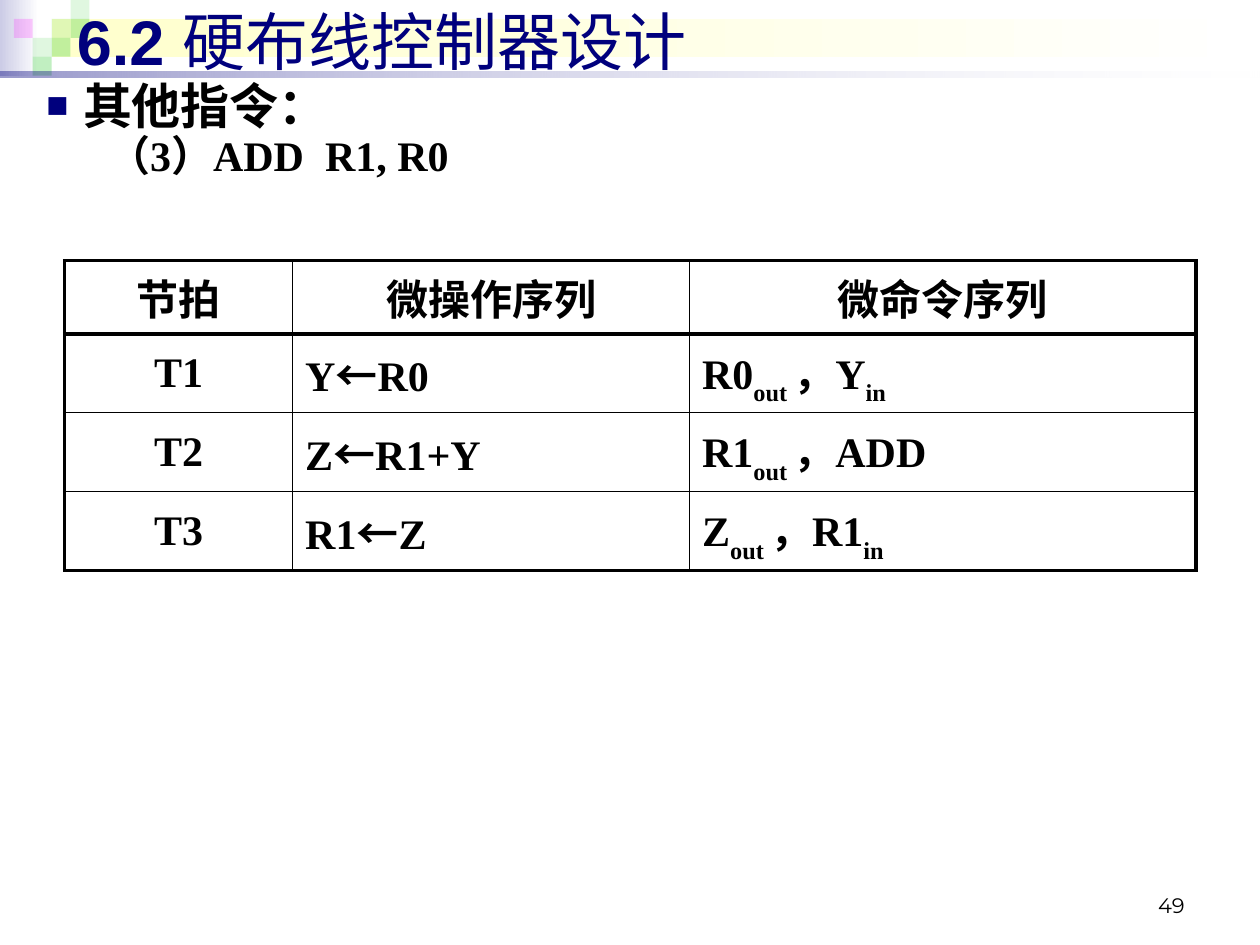
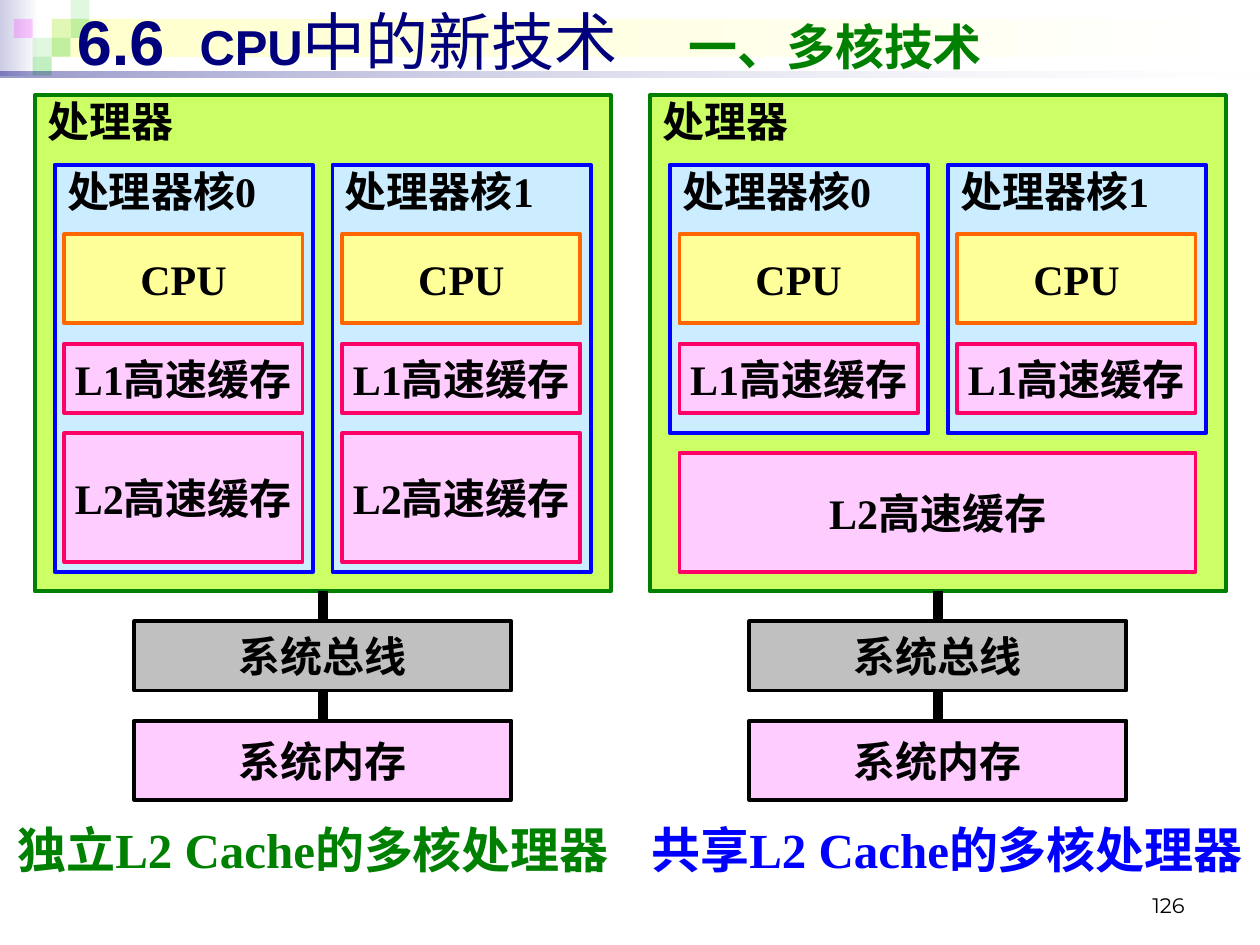
from dataclasses import dataclass

from lxml import etree
from pptx import Presentation
from pptx.dml.color import RGBColor
from pptx.enum.shapes import MSO_CONNECTOR, MSO_SHAPE
from pptx.enum.text import MSO_ANCHOR, PP_ALIGN
from pptx.oxml.ns import qn
from pptx.util import Pt

COLORS = {
    "black": "000000", "white": "FFFFFF", "navy": "00007D", "lavender": "CCCCE6",
    "cream": "FFFFCC", "mosaic": "33CC33", "magenta": "FF00FF", "green": "008000",
    "lime": "CCFF66", "blue": "0000FF", "sky": "CCECFF", "yellow": "FFFF99",
    "orange": "FF6600", "pink": "FFCCFF", "rose": "FF0066", "gray": "C0C0C0",
}
SERIF, SANS, CJK, NUMBER = "Times New Roman", "Arial", "Noto Sans CJK SC", "Montserrat"


@dataclass(frozen=True)
class Box:
    left: float
    top: float
    width: float
    height: float


@dataclass(frozen=True)
class Run:
    text: str
    size: float | None = None
    color: str | None = None
    bold: bool | None = None
    font: str | None = None
    subscript: bool = False


@dataclass(frozen=True)
class Look:
    fill: str
    line: str


@dataclass(frozen=True)
class Processor:
    left: float
    core_height: float
    shared_l2: bool


PROCESSOR = Look("lime", "green")
CORE = Look("sky", "blue")
CPU = Look("yellow", "orange")
CACHE = Look("pink", "rose")
BUS = Look("gray", "black")
MEMORY = Look("pink", "black")


def rgb(name: str) -> RGBColor:
    return RGBColor.from_string(COLORS[name])


# ---- Text ----
def style_font(font, size=None, color=None, bold=None, name=None) -> None:
    if size:
        font.size = Pt(size)
    if color:
        font.color.rgb = rgb(color)
    if bold is not None:
        font.bold = bold
    if name:
        font.name = name
        etree.SubElement(font._element, qn("a:ea"), typeface=CJK)


def write(p, runs: list[Run], size: float = 24, color: str = "black", bold: bool = True,
          name: str = SERIF, align=PP_ALIGN.LEFT) -> None:
    p.alignment = align
    style_font(p.font, size, color, bold, name)
    for run in runs:
        r = p.add_run()
        r.text = run.text
        style_font(r.font, run.size, run.color, run.bold, run.font)
        if run.subscript:
            r.font._element.set("baseline", "-30000")


def add_text(slide, box: Box, anchor=MSO_ANCHOR.TOP):
    sp = slide.shapes.add_textbox(Pt(box.left), Pt(box.top), Pt(box.width), Pt(box.height))
    tf = sp.text_frame
    tf.word_wrap = True
    tf.vertical_anchor = anchor
    return tf


# ---- Shapes ----
def add_rect(slide, box: Box):
    sp = slide.shapes.add_shape(MSO_SHAPE.RECTANGLE, Pt(box.left), Pt(box.top),
                                Pt(box.width), Pt(box.height))
    sp.shadow.inherit = False
    sp.line.fill.background()
    return sp


def set_alpha(sp, *percents: int) -> None:
    for clr, percent in zip(sp._element.spPr.iter(qn("a:srgbClr")), percents):
        etree.SubElement(clr, qn("a:alpha"), val=str(percent * 1000))


def add_fade(slide, box: Box, start: str, *alphas: int) -> None:
    sp = add_rect(slide, box)
    sp.fill.gradient()
    sp.fill.gradient_angle = 0
    for stop, color in zip(sp.fill.gradient_stops, (start, "white")):
        stop.color.rgb = rgb(color)
    set_alpha(sp, *alphas)


def add_block(slide, box: Box, look: Look, label: str, heading: bool = False) -> None:
    sp = add_rect(slide, box)
    sp.fill.solid()
    sp.fill.fore_color.rgb = rgb(look.fill)
    sp.line.color.rgb = rgb(look.line)
    sp.line.width = Pt(2.25)
    tf = sp.text_frame
    tf.word_wrap = False
    tf.vertical_anchor = MSO_ANCHOR.TOP if heading else MSO_ANCHOR.MIDDLE
    p = tf.paragraphs[0]
    write(p, [Run(label)], align=PP_ALIGN.LEFT if heading else PP_ALIGN.CENTER)
    if heading:
        p.line_spacing = 0.9


def add_link(slide, x: float, top: float, bottom: float) -> None:
    s = slide.shapes.add_connector(MSO_CONNECTOR.STRAIGHT, Pt(x), Pt(top), Pt(x), Pt(bottom))
    s.line.color.rgb = rgb("black")
    s.line.width = Pt(6)
    etree.SubElement(s._element.spPr, qn("a:effectLst"))


# ---- Shared header and page number ----
TILE = 10.8
TILES = [  # column, row, colour, opacity
    (2, 1, "mosaic", 15), (3, 0, "mosaic", 15), (3, 1, "mosaic", 30), (1, 2, "mosaic", 15),
    (0, 1, "magenta", 20), (2, 2, "mosaic", 30), (1, 3, "mosaic", 30),
]


def add_base_slide(prs, title: list[Run], number: int):
    slide = prs.slides.add_slide(prs.slide_layouts[6])
    add_fade(slide, Box(0, 0, 22.3, 43.2), "lavender")
    add_fade(slide, Box(29.5, TILE, 687.6, 2 * TILE), "cream")
    for col, row, color, alpha in TILES:
        sp = add_rect(slide, Box(7.9 + col * TILE, row * TILE, TILE, TILE))
        sp.fill.solid()
        sp.fill.fore_color.rgb = rgb(color)
        set_alpha(sp, alpha)
    add_fade(slide, Box(0, 40.8, 720, 3.6), "navy", 40, 10)
    tf = add_text(slide, Box(36.9, -2.2, 674.6, 51), MSO_ANCHOR.MIDDLE)
    write(tf.paragraphs[0], title, 36, "navy", name=SANS)
    tf = add_text(slide, Box(516, 492, 168, 36), MSO_ANCHOR.BOTTOM)
    write(tf.paragraphs[0], [Run(str(number))], 12, bold=False, name=NUMBER,
          align=PP_ALIGN.RIGHT)
    return slide


# ---- Instruction slide ----
def set_borders(cell, **widths: float) -> None:
    tcPr = cell._tc.get_or_add_tcPr()
    for i, (side, width) in enumerate(widths.items()):
        ln = etree.Element(qn(f"a:ln{side}"), w=str(Pt(width)))
        fill = etree.SubElement(ln, qn("a:solidFill"))
        etree.SubElement(fill, qn("a:srgbClr"), val=COLORS["black"])
        tcPr.insert(i, ln)


def transfer(target: str, source: str) -> list[Run]:
    return [Run(target), Run("←", font=CJK), Run(source)]


def sub(text: str) -> Run:
    return Run(text, subscript=True)


STEPS = [
    [[Run("节拍")], [Run("微操作序列")], [Run("微命令序列")]],
    [[Run("T1")], transfer("Y", "R0"), [Run("R0"), sub("out "), Run("，Y"), sub("in")]],
    [[Run("T2")], transfer("Z", "R1+Y"), [Run("R1"), sub("out "), Run("，ADD")]],
    [[Run("T3")], transfer("R1", "Z"), [Run("Z"), sub("out "), Run("，R1"), sub("in")]],
]
COL_WIDTHS = [130.3, 226.8, 289.4]
ROW_HEIGHTS = [42, 45, 45, 45]


def add_steps_table(slide) -> None:
    n_rows, n_cols = len(STEPS), len(COL_WIDTHS)
    tbl = slide.shapes.add_table(n_rows, n_cols, Pt(36.9), Pt(149), Pt(sum(COL_WIDTHS)),
                                 Pt(sum(ROW_HEIGHTS))).table
    tbl.first_row = tbl.horz_banding = False
    for col, width in zip(tbl.columns, COL_WIDTHS):
        col.width = Pt(width)
    for row, height in zip(tbl.rows, ROW_HEIGHTS):
        row.height = Pt(height)
    for i, row in enumerate(STEPS):
        for j, runs in enumerate(row):
            cell = tbl.cell(i, j)
            cell.fill.background()
            cell.vertical_anchor = MSO_ANCHOR.MIDDLE
            centred = i == 0 or j == 0
            write(cell.text_frame.paragraphs[0], runs,
                  align=PP_ALIGN.CENTER if centred else PP_ALIGN.LEFT)
            set_borders(cell, L=2.25 if j == 0 else 1,
                        R=2.25 if j == n_cols - 1 else 1,
                        T=2.25 if i <= 1 else 0.75,
                        B=2.25 if i in (0, n_rows - 1) else 0.75)


def set_indent(p, left: float, first: float) -> None:
    pPr = p._p.get_or_add_pPr()
    pPr.set("marL", str(Pt(left)))
    pPr.set("indent", str(Pt(first)))


def add_square_bullet(p) -> None:
    pPr = p._p.get_or_add_pPr()
    clr = etree.Element(qn("a:buClr"))
    etree.SubElement(clr, qn("a:srgbClr"), val=COLORS["navy"])
    size = etree.Element(qn("a:buSzPct"), val="75000")
    font = etree.Element(qn("a:buFont"), typeface=SANS)
    char = etree.Element(qn("a:buChar"), char="■")
    for element in (clr, size, font, char):
        pPr.find(qn("a:defRPr")).addprevious(element)


def build_instruction_slide(prs) -> None:
    slide = add_base_slide(prs, [Run("6.2 "), Run("硬布线控制器设计", bold=False)], 49)
    tf = add_text(slide, Box(19.4, 43.2, 692, 73.4))
    p = tf.paragraphs[0]
    p.line_spacing = 0.9
    write(p, [Run("其他指令：")], 28)
    set_indent(p, 21, -21)
    add_square_bullet(p)
    p = tf.add_paragraph()
    p.line_spacing = 0.9
    write(p, [Run("（3）ADD  R1, R0")])
    set_indent(p, 56.9, -21.6)
    add_steps_table(slide)


# ---- Multi-core slide ----
PANEL_W, CORE_W, CORE_PITCH, UNIT_W, BUS_W = 329, 147.6, 158.8, 136.1, 215.5
CORE_INSET, UNIT_INSET = 11.2, 5.6
PROCESSORS = [Processor(20, 232.6, False), Processor(371.5, 153.4, True)]


def add_processor(slide, proc: Processor) -> None:
    add_block(slide, Box(proc.left, 54.4, PANEL_W, 283.6), PROCESSOR, "处理器", heading=True)
    first_core = proc.left + CORE_INSET
    for i in range(2):
        left = first_core + i * CORE_PITCH
        unit = left + UNIT_INSET
        add_block(slide, Box(left, 94.2, CORE_W, proc.core_height), CORE, f"处理器核{i}",
                  heading=True)
        add_block(slide, Box(unit, 133.8, UNIT_W, 51), CPU, "CPU")
        add_block(slide, Box(unit, 196.4, UNIT_W, 39.6), CACHE, "L1高速缓存")
        if not proc.shared_l2:
            add_block(slide, Box(unit, 247.6, UNIT_W, 73.6), CACHE, "L2高速缓存")
    if proc.shared_l2:
        add_block(slide, Box(first_core + UNIT_INSET, 258.8, CORE_PITCH + UNIT_W, 68), CACHE,
                  "L2高速缓存")
    # System bus and memory below the processor
    center = proc.left + PANEL_W / 2
    add_block(slide, Box(center - BUS_W / 2, 355, BUS_W, 39.6), BUS, "系统总线")
    add_block(slide, Box(center - BUS_W / 2, 411.8, BUS_W, 45.2), MEMORY, "系统内存")
    add_link(slide, center, 338, 355)
    add_link(slide, center, 394.6, 411.8)


def build_multicore_slide(prs) -> None:
    title = [Run("6.6  "), Run("CPU", size=28), Run("中的新技术     ", bold=False),
             Run("一、多核技术", size=28, color="green")]
    slide = add_base_slide(prs, title, 126)
    for proc in PROCESSORS:
        add_processor(slide, proc)
    captions = [("独立", Box(2.9, 468.7, 368.6, 45.4), "green", PP_ALIGN.LEFT),
                ("共享", Box(331.9, 468.7, 385.2, 45.4), "blue", PP_ALIGN.RIGHT)]
    for kind, box, color, align in captions:
        p = add_text(slide, box).paragraphs[0]
        p.line_spacing = 0.9
        write(p, [Run(f"{kind}L2 Cache的多核处理器")], 28, color, align=align)


def main() -> None:
    prs = Presentation()
    prs.slide_width, prs.slide_height = Pt(720), Pt(540)
    build_instruction_slide(prs)
    build_multicore_slide(prs)
    prs.save("out.pptx")


if __name__ == "__main__":
    main()
